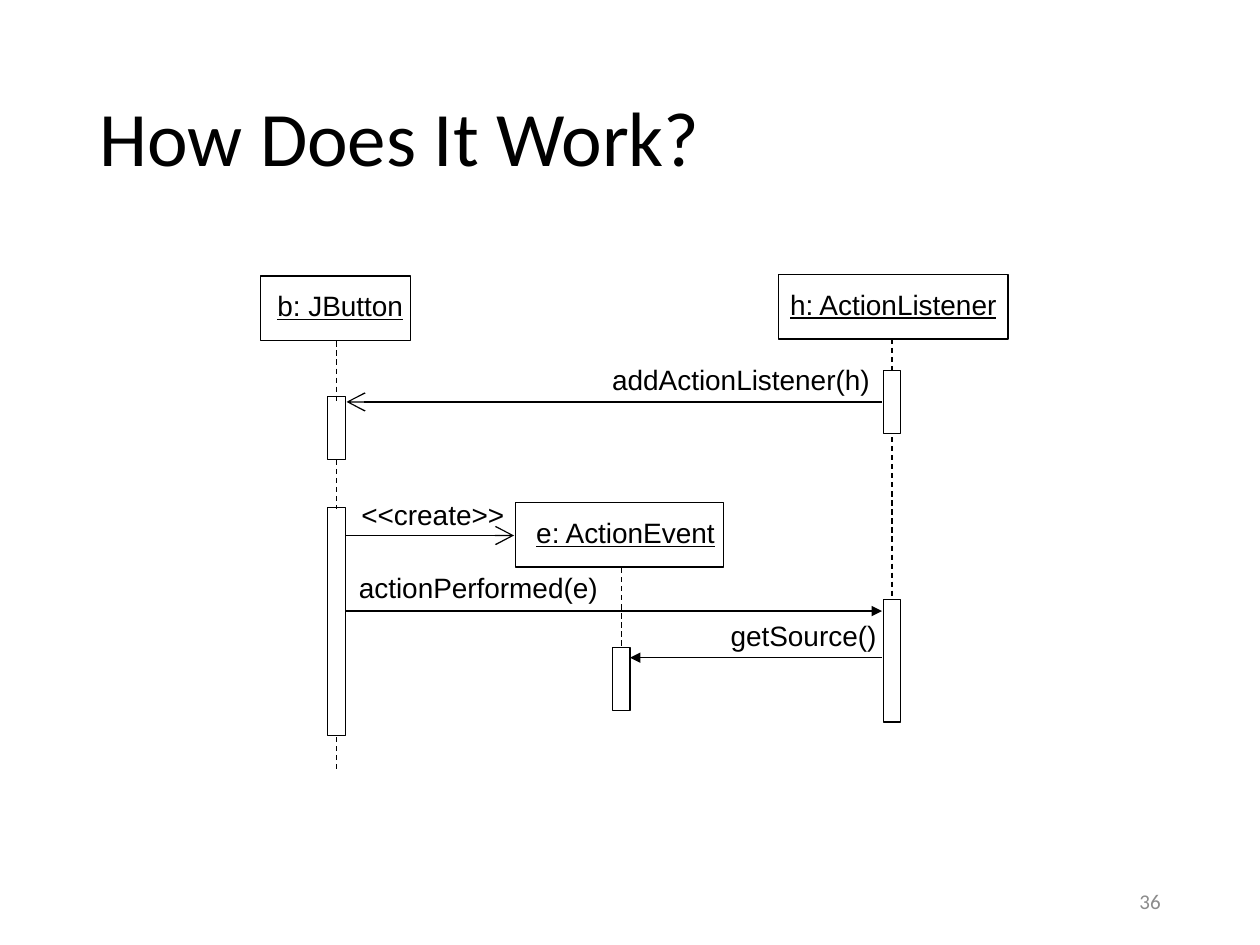
from dataclasses import dataclass

from lxml import etree
from pptx import Presentation
from pptx.dml.color import RGBColor
from pptx.enum.dml import MSO_LINE
from pptx.enum.shapes import MSO_CONNECTOR, MSO_SHAPE
from pptx.enum.text import MSO_ANCHOR, MSO_AUTO_SIZE, PP_ALIGN
from pptx.oxml.ns import qn
from pptx.util import Inches, Pt

RECTANGLE = MSO_SHAPE.RECTANGLE
STRAIGHT = MSO_CONNECTOR.STRAIGHT
DASH = MSO_LINE.DASH
MIDDLE = MSO_ANCHOR.MIDDLE
TOP = MSO_ANCHOR.TOP
FIT_TEXT = MSO_AUTO_SIZE.SHAPE_TO_FIT_TEXT
LEFT, CENTER, RIGHT = PP_ALIGN.LEFT, PP_ALIGN.CENTER, PP_ALIGN.RIGHT

BLACK = "000000"
GRAY = "8C8C8C"
LINE_WIDTH = Pt(0.75)
BAR_WIDTH = 0.14
LABEL_HEIGHT = 0.37
PARTICIPANT_HEIGHT = 0.51
BUTTON_X, EVENT_X, LISTENER_X = 2.67, 4.93, 7.08
ARROW_SIZES = {"arrow": "lg", "triangle": "med"}


@dataclass(frozen=True)
class TextStyle:
    """Look of a line of text."""

    font: str = "Arial"
    size: float = 16
    color: str = BLACK
    align: PP_ALIGN = LEFT
    underline: bool = False


@dataclass(frozen=True)
class Participant:
    """Named object box and the frame of its label."""

    name: str
    left: float
    top: float
    width: float
    label_left: float
    label_width: float


@dataclass(frozen=True)
class Span:
    """Vertical stretch of a lifeline."""

    x: float
    top: float
    bottom: float


@dataclass(frozen=True)
class Message:
    """Call between two objects, with its label frame."""

    text: str
    start: float
    end: float
    y: float
    head: str
    label_left: float
    label_top: float
    label_width: float


PARTICIPANTS = [
    Participant("b: JButton", 2.07, 2.19, 1.19, 2.1, 1.2),
    Participant("h: ActionListener", 6.18, 2.18, 1.82, 6.16, 1.86),
    Participant("e: ActionEvent", 4.09, 3.99, 1.65, 4.15, 1.63),
]
ACTIVATIONS = [
    Span(BUTTON_X, 3.15, 3.65),
    Span(BUTTON_X, 4.03, 5.84),
    Span(LISTENER_X, 2.94, 3.44),
    Span(EVENT_X, 5.14, 5.64),
    Span(LISTENER_X, 4.76, 5.73),
]
LIFELINES = [
    Span(BUTTON_X, 2.71, 3.18),
    Span(BUTTON_X, 3.65, 4.04),
    Span(BUTTON_X, 5.85, 6.12),
    Span(EVENT_X, 4.51, 5.14),
    Span(LISTENER_X, 2.69, 2.97),
    Span(LISTENER_X, 3.47, 4.75),
]
MESSAGES = [
    Message("addActionListener(h)", 7, 2.75, 3.19, "arrow", 4.76, 2.83, 2.25),
    Message("<<create>>", 2.74, 4.08, 4.25, "arrow", 2.77, 3.9, 1.34),
    Message("actionPerformed(e)", 2.74, 7, 4.85, "triangle", 2.75, 4.48, 2.1),
    Message("getSource()", 7, 5, 5.22, "triangle", 5.7, 4.86, 1.36),
]


def rgb(color: str) -> RGBColor:
    """Turn a hex string into a colour."""
    return RGBColor.from_string(color)


def add_text(slide, text: str, left: float, top: float, width: float,
             height: float, style: TextStyle, wrap: bool = False,
             anchor: MSO_ANCHOR = TOP):
    """Add one styled line of text and return its paragraph."""
    box = slide.shapes.add_textbox(
        Inches(left), Inches(top), Inches(width), Inches(height))
    frame = box.text_frame
    frame.text = text
    frame.word_wrap = wrap
    frame.vertical_anchor = anchor
    if not wrap:
        frame.auto_size = FIT_TEXT
    paragraph = frame.paragraphs[0]
    paragraph.alignment = style.align
    font = paragraph.runs[0].font
    font.name = style.font
    font.size = Pt(style.size)
    font.color.rgb = rgb(style.color)
    if style.underline:
        font.underline = True
    return paragraph


def add_outline(slide, left: float, top: float, width: float,
                height: float) -> None:
    """Add an unfilled rectangle with a thin border."""
    outline = slide.shapes.add_shape(
        RECTANGLE, Inches(left), Inches(top), Inches(width), Inches(height))
    outline.shadow.inherit = False
    outline.fill.background()
    outline.line.color.rgb = rgb(BLACK)
    outline.line.width = LINE_WIDTH


def add_line(slide, x1: float, y1: float, x2: float, y2: float):
    """Add a thin straight line without shadow and return it."""
    connector = slide.shapes.add_connector(
        STRAIGHT, Inches(x1), Inches(y1), Inches(x2), Inches(y2))
    connector.line.color.rgb = rgb(BLACK)
    connector.line.width = LINE_WIDTH
    etree.SubElement(connector._element.spPr, qn("a:effectLst"))
    return connector


def add_participant(slide, item: Participant) -> None:
    """Add an object box with its underlined name."""
    add_outline(slide, item.left, item.top, item.width, PARTICIPANT_HEIGHT)
    add_text(slide, item.name, item.label_left, item.top + 0.05,
             item.label_width, LABEL_HEIGHT,
             TextStyle(align=CENTER, underline=True))


def add_activation(slide, span: Span) -> None:
    """Add an activation bar centred on its lifeline."""
    add_outline(slide, span.x - BAR_WIDTH / 2, span.top, BAR_WIDTH,
                span.bottom - span.top)


def add_lifeline(slide, span: Span) -> None:
    """Add a dashed stretch of lifeline."""
    lifeline = add_line(slide, span.x, span.top, span.x, span.bottom)
    lifeline.line.dash_style = DASH


def add_message(slide, message: Message) -> None:
    """Add a message arrow and its label."""
    arrow = add_line(slide, message.start, message.y, message.end, message.y)
    size = ARROW_SIZES[message.head]
    etree.SubElement(arrow.line._get_or_add_ln(), qn("a:tailEnd"),
                     type=message.head, w=size, len=size)
    add_text(slide, message.text, message.label_left, message.label_top,
             message.label_width, LABEL_HEIGHT, TextStyle())


def main() -> None:
    """Build the sequence diagram slide."""
    presentation = Presentation()
    presentation.slide_width = Inches(10)
    presentation.slide_height = Inches(7.5)
    slide = presentation.slides.add_slide(presentation.slide_layouts[6])
    title = add_text(slide, "How Does It Work?", 0.69, 0.4, 8.62, 1.45,
                     TextStyle("Calibri", 44), True, MIDDLE)
    title.line_spacing = 0.9
    for participant in PARTICIPANTS:
        add_participant(slide, participant)
    for activation in ACTIVATIONS:
        add_activation(slide, activation)
    for message in MESSAGES:
        add_message(slide, message)
    for lifeline in LIFELINES:
        add_lifeline(slide, lifeline)
    add_text(slide, "36", 7.06, 6.95, 2.25, 0.4,
             TextStyle("Calibri", 12, GRAY, RIGHT), True, MIDDLE)
    presentation.save("out.pptx")


if __name__ == "__main__":
    main()
